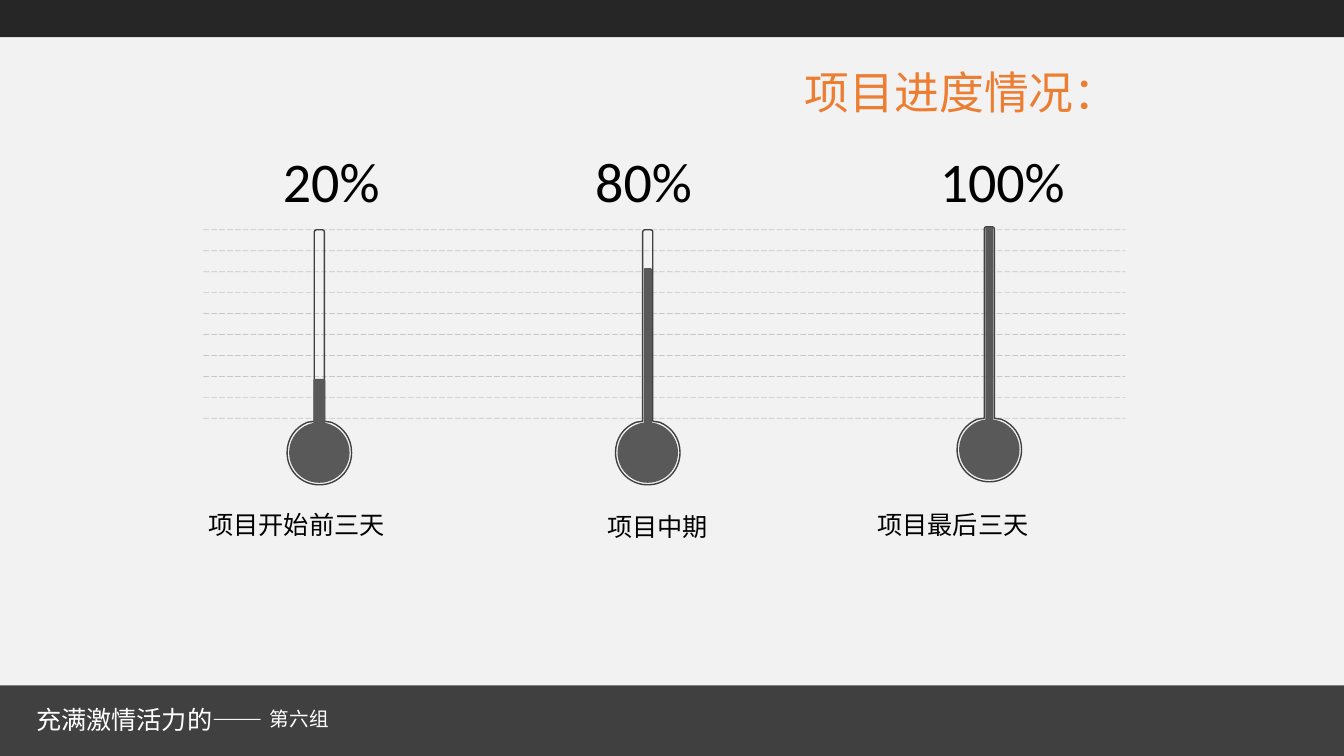
from lxml.etree import SubElement
from pptx import Presentation
from pptx.dml.color import RGBColor
from pptx.enum.dml import MSO_LINE
from pptx.enum.shapes import MSO_CONNECTOR, MSO_SHAPE
from pptx.enum.text import MSO_ANCHOR, MSO_AUTO_SIZE, PP_ALIGN
from pptx.oxml.ns import qn
from pptx.util import Inches, Pt

COLORS = {
    "background": "F2F2F2", "top_band": "262626", "bottom_band": "404040",
    "grid": "BFBFBF", "outline": "404040", "liquid": "595959",
    "text": "000000", "white": "FFFFFF", "accent": "ED7D31",
}
CJK = "Noto Sans CJK SC"
LATIN = "Calibri"

# Right half of a thermometer, as offsets from the middle of its top edge
HALF_OUTLINE = [
    (0.03, 0), (0.04, 0), (0.05, 0.01), (0.05, 0.02), (0.05, 1.9), (0.12, 1.91),
    (0.24, 1.96), (0.32, 2.07), (0.32, 2.21), (0.32, 2.39), (0.18, 2.53), (0, 2.53),
]
# Segment kinds around the whole outline: L is a line, C a curve of three points
SEGMENTS = "LCLLCCCCLLC"


def color(name):
    return RGBColor.from_string(COLORS[name])


def write(shape, text, size, font_name, color_name):
    frame = shape.text_frame
    frame_format = {"word_wrap": True, "auto_size": MSO_AUTO_SIZE.NONE,
                    "vertical_anchor": MSO_ANCHOR.TOP}
    for name, value in frame_format.items():
        setattr(frame, name, value)
    para = frame.paragraphs[0]
    para.alignment = PP_ALIGN.LEFT
    span = para.add_run()
    span.text = text
    for name, value in {"size": Pt(size), "name": font_name}.items():
        setattr(span.font, name, value)
    span.font.color.rgb = color(color_name)
    SubElement(span.font._element, qn("a:ea")).set("typeface", CJK)


def add_label(page, box, *text_format):
    write(page.shapes.add_textbox(*map(Inches, box)), *text_format)


def add_solid(page, kind, box, color_name):
    shape = page.shapes.add_shape(kind, *map(Inches, box))
    shape.shadow.inherit = False
    shape.fill.solid()
    shape.fill.fore_color.rgb = color(color_name)
    shape.line.fill.background()
    return shape


def add_title(page, box):
    title = page.shapes.title
    for name, value in zip(("left", "top", "width", "height"), box):
        setattr(title, name, Inches(value))
    write(title, "项目进度情况：", 32, LATIN, "accent")


def add_bands(page, width, height):
    add_solid(page, MSO_SHAPE.RECTANGLE, (0, height - 0.7, width, 0.7), "bottom_band")
    add_solid(page, MSO_SHAPE.RECTANGLE, (0, 0, width, 0.37), "top_band")


def add_footer(page, left, top):
    add_label(page, (left, top, 2.63, 0.4), "充满激情活力的——", 18, LATIN, "white")
    add_label(page, (left + 2.32, top + 0.02, 1.82, 0.34), "第六组", 14, CJK, "white")


def add_grid(page, box, rows=10):
    left, top, width, height = box
    group = page.shapes.add_group_shape()
    for row in range(rows):
        y = top + height * row / (rows - 1)
        rule = group.shapes.add_connector(
            MSO_CONNECTOR.STRAIGHT, *map(Inches, (left, y, left + width, y)))
        rule.line.color.rgb = color("grid")
        rule.line.width = Pt(0.5)
        rule.line.dash_style = MSO_LINE.LONG_DASH
        tint = next(rule._element.spPr.iter(qn("a:srgbClr")))
        SubElement(tint, qn("a:alpha")).set("val", "84000")
        SubElement(rule._element.spPr, qn("a:effectLst"))


def add_outline(page, center, top):
    mirrored = [(-x, y) for x, y in reversed(HALF_OUTLINE[:-1])]
    points = [(Inches(center + x), Inches(top + y))
              for x, y in mirrored[-1:] + HALF_OUTLINE + mirrored]
    builder = page.shapes.build_freeform(*points[0])
    builder.add_line_segments(points[1:], close=True)
    outline = builder.convert_to_shape()
    outline.shadow.inherit = False
    outline.fill.background()
    outline.line.color.rgb = color("outline")
    outline.line.width = Pt(1)

    # Merge each curve's three points into one Bezier segment
    lines = iter(list(outline._element.spPr.iter(qn("a:lnTo"))))
    for kind in SEGMENTS:
        first = next(lines)
        if kind == "C":
            first.tag = qn("a:cubicBezTo")
            for other in (next(lines), next(lines)):
                first.append(other[0])
                other.getparent().remove(other)


def add_thermometer(page, center, top, liquid_top, liquid_width):
    bulb_y = top + 2.21
    add_outline(page, center, top)
    add_solid(page, MSO_SHAPE.OVAL, (center - 0.3, bulb_y - 0.3, 0.6, 0.6), "liquid")
    column = add_solid(
        page, MSO_SHAPE.ROUNDED_RECTANGLE,
        (center - liquid_width / 2, liquid_top, liquid_width, bulb_y - 0.17 - liquid_top),
        "liquid")
    column.adjustments[0] = 0.16


def add_stage(page, thermometer, percent, percent_box, caption, caption_box):
    add_thermometer(page, *thermometer)
    add_label(page, percent_box, percent, 40, LATIN, "text")
    add_label(page, caption_box, caption, 18, CJK, "text")


STAGES = [
    ((3.17, 2.28, 3.76, 0.12), "20%", (2.71, 1.4, 1.23, 0.77),
     "项目开始前三天", (1.97, 5, 2.16, 0.4)),
    ((6.43, 2.28, 2.66, 0.08), "80%", (5.81, 1.4, 1.23, 0.77),
     "项目中期", (5.93, 5.02, 1.23, 0.4)),
    ((9.82, 2.25, 2.25, 0.08), "100%", (9.23, 1.4, 1.96, 0.77),
     "项目最后三天", (8.61, 5, 2.48, 0.4)),
]


def main():
    deck = Presentation()
    deck.slide_width, deck.slide_height = Inches(13.34), Inches(7.5)
    page = deck.slides.add_slide(deck.slide_layouts[5])
    page.background.fill.solid()
    page.background.fill.fore_color.rgb = color("background")

    add_bands(page, 13.34, 7.5)
    add_title(page, (7.89, 0.59, 4.47, 0.64))
    add_grid(page, (2.02, 2.28, 9.15, 1.87))
    for stage in STAGES:
        add_stage(page, *stage)
    add_footer(page, 0.26, 6.94)
    deck.save("out.pptx")


if __name__ == "__main__":
    main()
